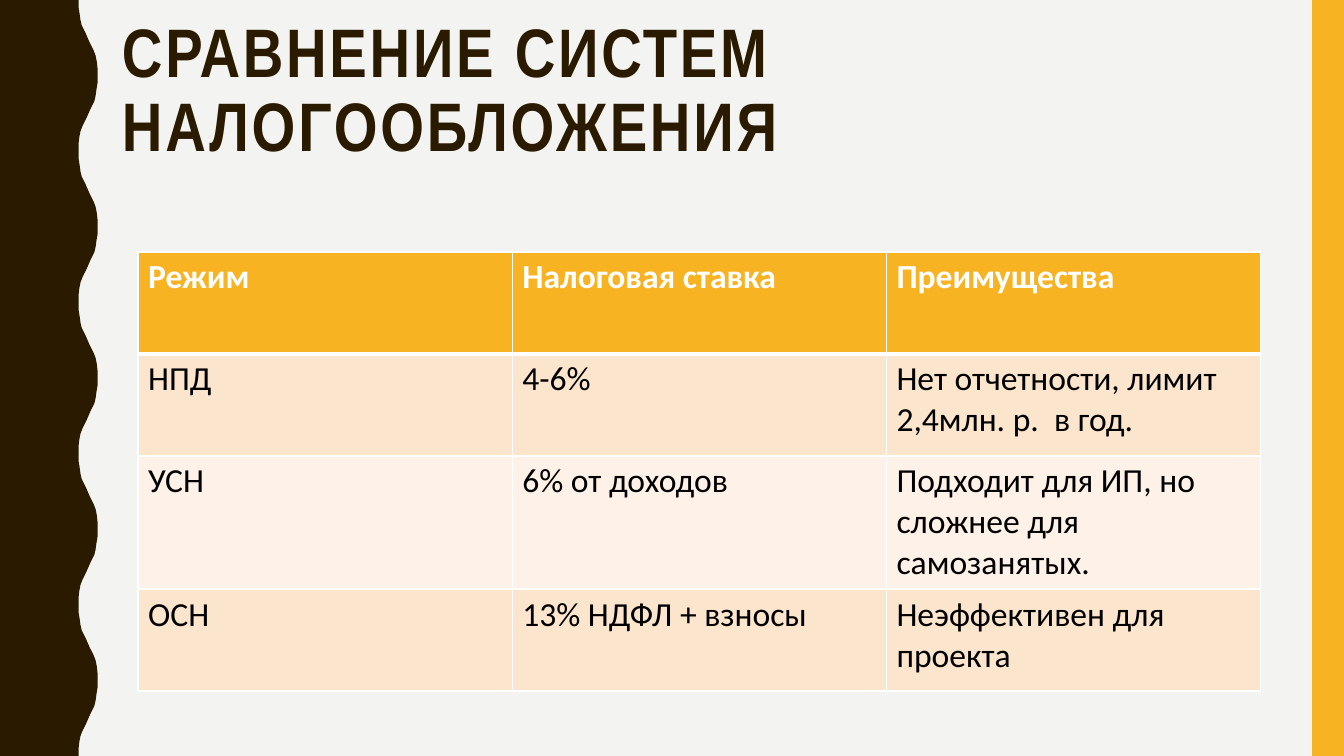
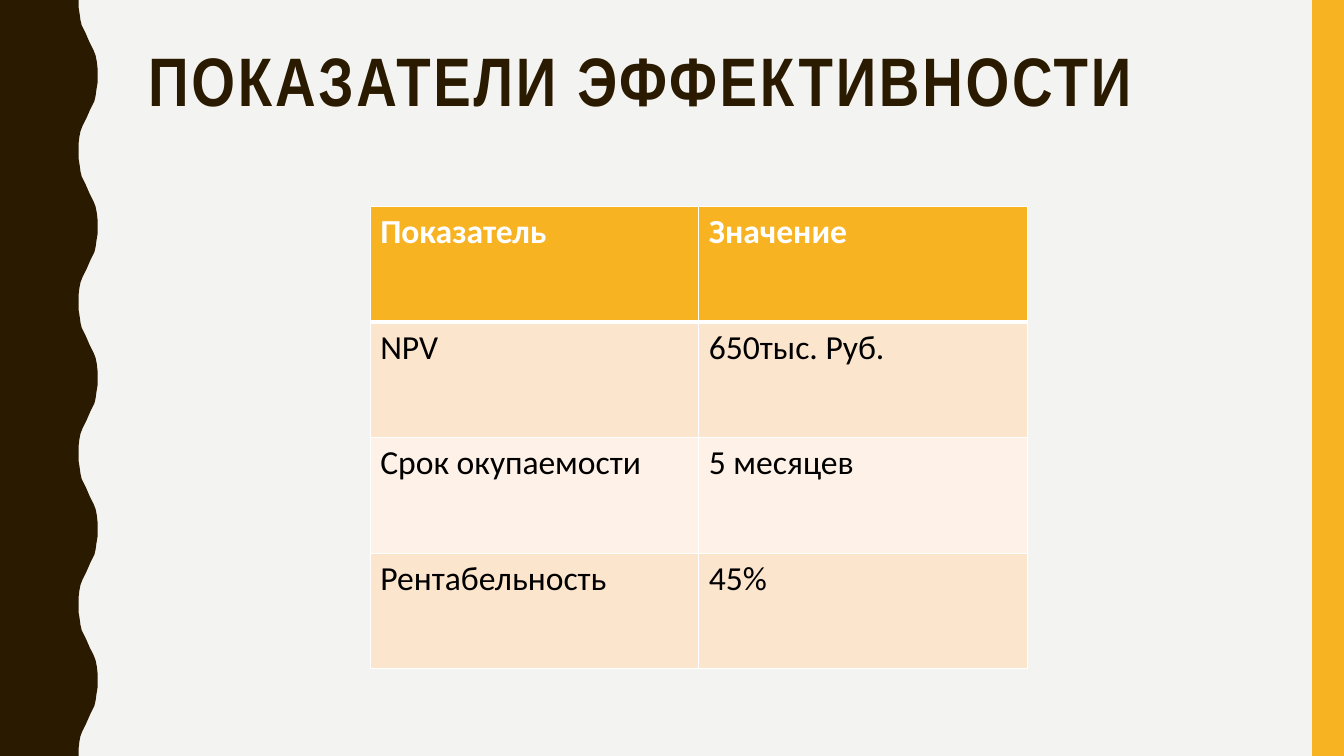
"""Two slides comparing tax regimes and listing efficiency indicators."""
from pptx import Presentation
from pptx.dml.color import RGBColor
from pptx.enum import shapes, text
from pptx.oxml import parse_xml
from pptx.oxml import ns
from pptx.util import Cm, Pt

BROWN = RGBColor(0x2A, 0x1A, 0x00)
AMBER = RGBColor(0xF8, 0xB3, 0x23)
PAPER = RGBColor(0xF3, 0xF3, 0xF2)
PEACH = RGBColor(0xFC, 0xE5, 0xCD)
CREAM = RGBColor(0xFE, 0xF2, 0xE8)
WHITE = RGBColor(0xFF, 0xFF, 0xFF)
BLACK = RGBColor(0x00, 0x00, 0x00)

TITLE_FONT = {"name": "Arial Narrow", "size": Pt(49), "bold": True}
HEADER_FONT = {"name": "Calibri", "size": Pt(24), "bold": True}
BODY_FONT = {**HEADER_FONT, "bold": False}
TITLE_FRAME = {
    "word_wrap": True,
    "auto_size": text.MSO_AUTO_SIZE.NONE,
    "vertical_anchor": text.MSO_ANCHOR.TOP,
}
TITLE_PARAGRAPH = {"line_spacing": 0.9, "alignment": text.PP_ALIGN.LEFT}

HALF_WAVE = [(1.98, 0), (1.98, 0.18), (2.01, 0.36), (2.03, 0.51),
             (2.06, 0.64), (2.16, 0.84), (2.26, 1.07), (2.36, 1.27),
             (2.41, 1.4), (2.44, 1.55), (2.46, 1.73)]
HALF_LENGTH = 1.905
TROUGH_PLUS_CREST = 4.44

PAGES = [
    {
        "title": "СРАВНЕНИЕ СИСТЕМ НАЛОГООБЛОЖЕНИЯ",
        "title_box": (2.82, 0.33, 31.9, 4.67),
        "table_at": (3.48, 6.35),
        "cell_size": (9.43, 2.57),
        "rows": [
            ("Режим", "Налоговая ставка", "Преимущества"),
            ("НПД", "4-6%", "Нет отчетности, лимит 2,4млн. р.  в год."),
            ("УСН", "6% от доходов",
             "Подходит для ИП, но сложнее для самозанятых."),
            ("ОСН", "13% НДФЛ + взносы", "Неэффективен для проекта"),
        ],
    },
    {
        "title": "ПОКАЗАТЕЛИ ЭФФЕКТИВНОСТИ",
        "title_box": (3.48, 1.07, 28.27, 4.14),
        "table_at": (9.33, 5.21),
        "cell_size": (8.28, 2.91),
        "rows": [
            ("Показатель", "Значение"),
            ("NPV", "650тыс. Руб."),
            ("Срок окупаемости", "5 месяцев"),
            ("Рентабельность", "45%"),
        ],
    },
]


def apply_format(target, values):
    for attribute, value in values.items():
        setattr(target, attribute, value)


def add_borders(cell, widths):
    for side, width in widths.items():
        cell._tc.get_or_add_tcPr().append(parse_xml(
            f'<a:ln{side} {ns.nsdecls("a")} w="{Pt(width)}"><a:solidFill>'
            f'<a:srgbClr val="{WHITE}"/></a:solidFill></a:ln{side}>'))


prs = Presentation()
prs.slide_width, prs.slide_height = Cm(33.87), Cm(19.05)
master = prs.slide_master
master.background.fill.solid()
master.background.fill.fore_color.rgb = PAPER
pages = [prs.slides.add_slide(prs.slide_layouts[5]) for _ in PAGES]

wave_points = []
for half in range(10):
    for x, y in HALF_WAVE:
        edge = TROUGH_PLUS_CREST - x if half % 2 else x
        wave_points.append((Cm(edge), Cm(half * HALF_LENGTH + y)))
wave_points += [(Cm(1.98), Cm(19.05)), (0, Cm(19.05))]
outline = pages[0].shapes.build_freeform(0, 0)
outline.add_line_segments(wave_points, close=True)
wave = outline.convert_to_shape()
band = pages[0].shapes.add_shape(
    shapes.MSO_SHAPE.RECTANGLE, Cm(33.07), 0, Cm(0.8), Cm(19.05))
for position, (side_band, color) in enumerate([(wave, BROWN), (band, AMBER)], 2):
    side_band.shadow.inherit = False
    side_band.fill.solid()
    side_band.fill.fore_color.rgb = color
    side_band.line.fill.background()
    master.shapes._spTree.insert(position, side_band._element)

for slide, page in zip(pages, PAGES):
    title = slide.shapes.title
    box = map(Cm, page["title_box"])
    apply_format(title, dict(zip(("left", "top", "width", "height"), box)))
    apply_format(title.text_frame, TITLE_FRAME)
    heading = title.text_frame.paragraphs[0]
    apply_format(heading, TITLE_PARAGRAPH)
    words = heading.add_run()
    words.text = page["title"]
    apply_format(words.font, TITLE_FONT)
    words.font.color.rgb = BROWN
    words.font._element.set("spc", "200")

    rows = page["rows"]
    row_count, column_count = len(rows), len(rows[0])
    cell_width, cell_height = page["cell_size"]
    left, top = page["table_at"]
    table = slide.shapes.add_table(
        row_count, column_count, Cm(left), Cm(top),
        Cm(cell_width * column_count), Cm(cell_height * row_count)).table
    for column in table.columns:
        column.width = Cm(cell_width)
    for index, values in enumerate(rows):
        table.rows[index].height = Cm(cell_height)
        is_header = index == 0
        fill = AMBER if is_header else PEACH if index % 2 else CREAM
        borders = {"L": 1, "R": 1, "T": 3 if index == 1 else 1,
                   "B": 3 if is_header else 1}
        for column_index, value in enumerate(values):
            cell = table.cell(index, column_index)
            add_borders(cell, borders)
            cell.fill.solid()
            cell.fill.fore_color.rgb = fill
            entry = cell.text_frame.paragraphs[0].add_run()
            entry.text = value
            apply_format(entry.font, HEADER_FONT if is_header else BODY_FONT)
            entry.font.color.rgb = WHITE if is_header else BLACK

prs.save("out.pptx")
